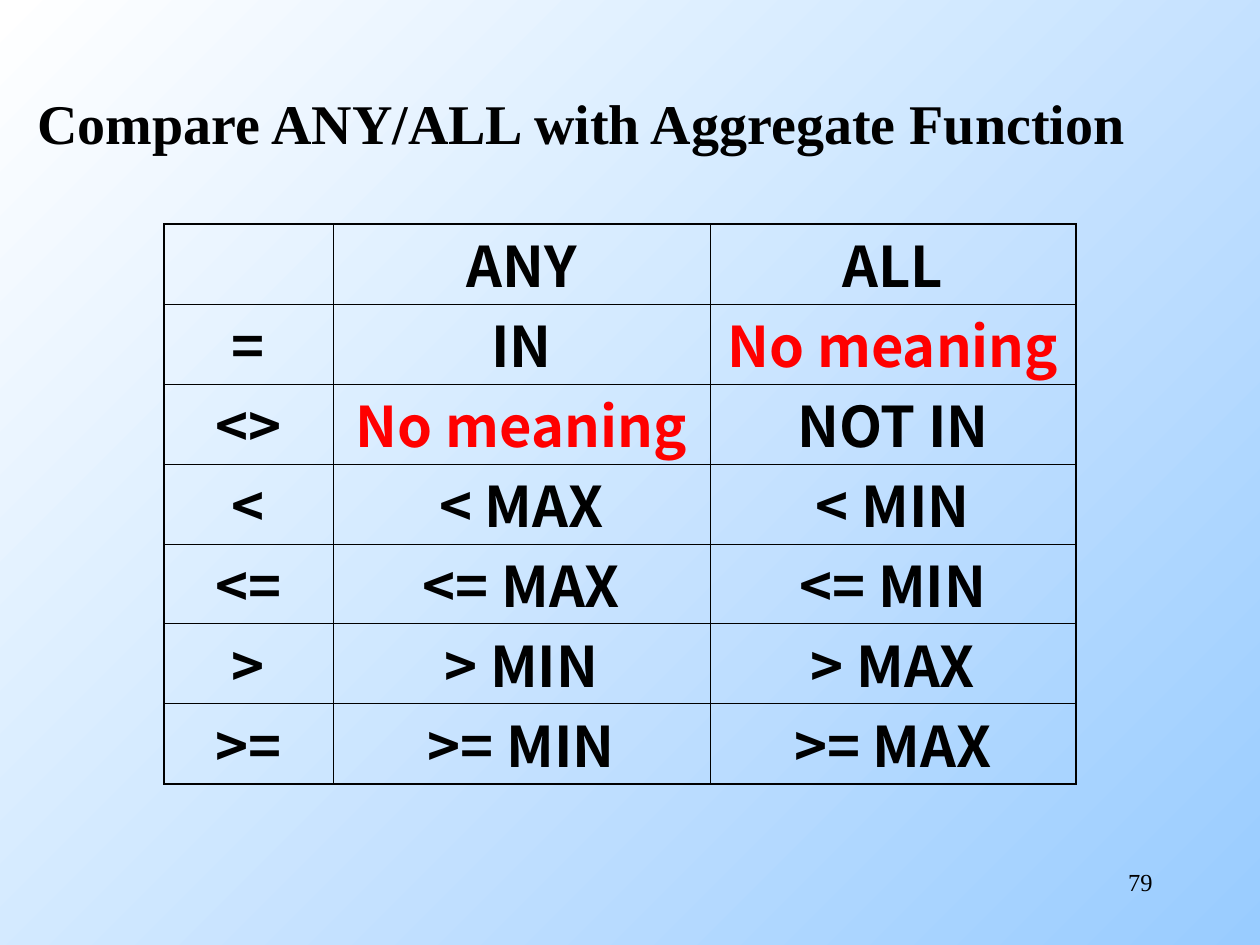
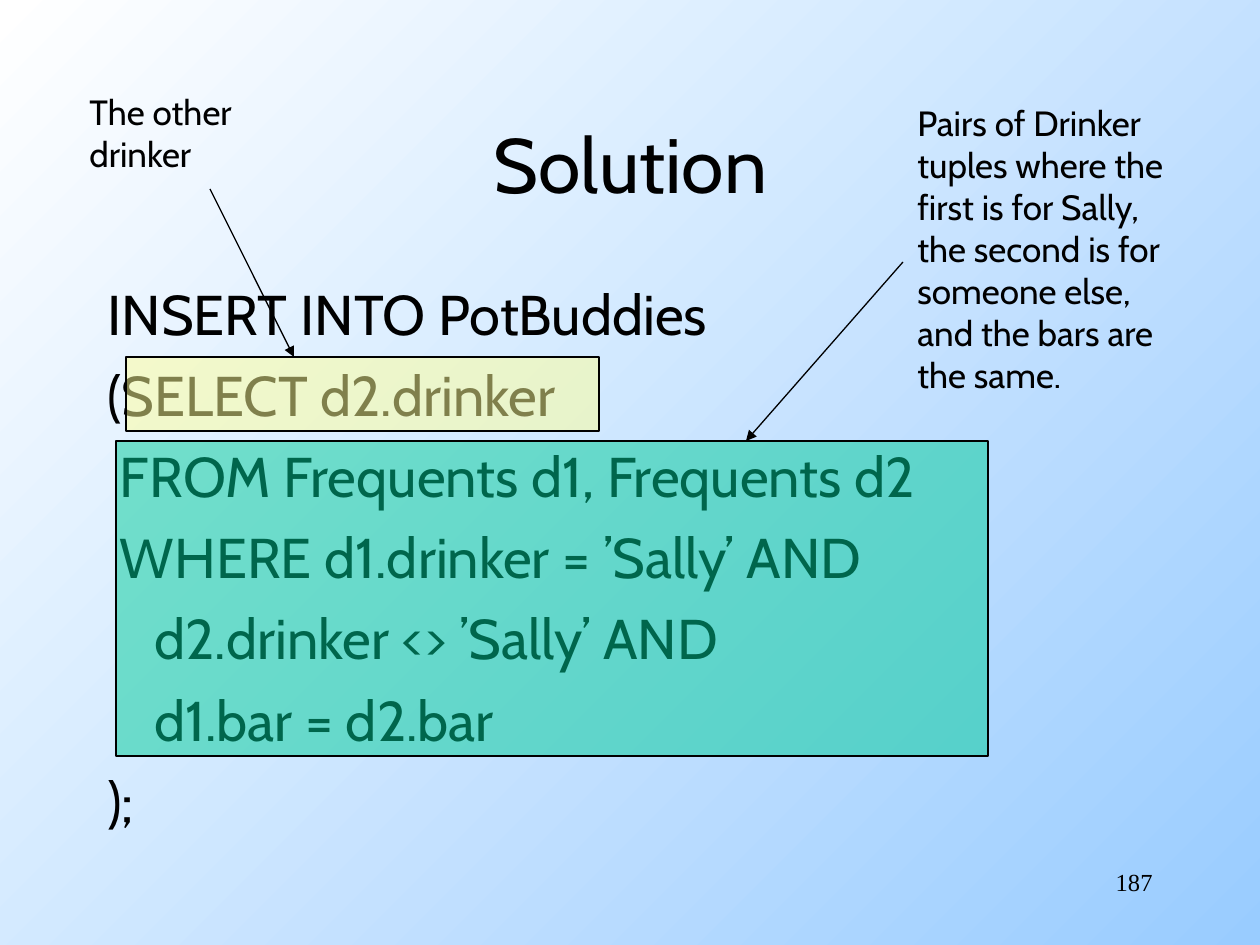
"""Build two database lecture slides: a comparison table and an annotated query."""
import dataclasses

import lxml.etree
import pptx
import pptx.dml.color
import pptx.enum.dml
import pptx.enum.shapes
import pptx.enum.text
import pptx.oxml.ns
import pptx.util

SCALE = 914400 / 126
ALIGN = pptx.enum.text.PP_ALIGN
ANCHOR = pptx.enum.text.MSO_ANCHOR
RECTANGLE = pptx.enum.shapes.MSO_SHAPE.RECTANGLE
STRAIGHT = pptx.enum.shapes.MSO_CONNECTOR.STRAIGHT


@dataclasses.dataclass(frozen=True)
class Theme:
    """Colours, fonts and type sizes of the deck."""
    ink: str = "000000"
    warning: str = "FF0000"
    sky_start: str = "FFFFFF"
    sky_end: str = "99CCFF"
    teal: str = "00CC99"
    yellow: str = "FFFF99"
    serif: str = "Times New Roman"
    sans: str = "Cabin"
    table_font: str = "Noto Sans CJK SC"
    title_size: int = 44
    body_size: int = 32
    note_size: int = 20
    number_size: int = 14
    line_width: float = 0.75
    inner_border: float = 0.45
    outer_border: float = 1.08
    overlay_opacity: int = 50


def emu(pixels):
    """Turn px into EMU."""
    return pptx.util.Emu(round(pixels * SCALE))


def rgb(value):
    """Turn a hex string into a colour."""
    return pptx.dml.color.RGBColor.from_string(value)


def add_element(parent, tag, **attributes):
    """Append a drawing element to its parent."""
    return lxml.etree.SubElement(parent, pptx.oxml.ns.qn(tag), attributes)


def write_text(frame, text, font, size, color="000000", bold=False, align=ALIGN.LEFT,
               gap=0, hanging=0, inset_lines=(), line_spacing=None):
    """Write each line of text as one formatted paragraph."""
    for index, line in enumerate(text.split("\n")):
        paragraph = frame.add_paragraph() if index else frame.paragraphs[0]
        paragraph.text = line
        paragraph.alignment = align
        if index and gap:
            paragraph.space_before = pptx.util.Pt(gap)
        if line_spacing:
            paragraph.line_spacing = line_spacing
        if hanging:
            properties = paragraph._p.get_or_add_pPr()
            properties.set("marL", str(emu(hanging)))
            properties.set("indent", str(0 if index in inset_lines else -emu(hanging)))
        for run in paragraph.runs:
            run.font.name = font
            run.font.size = pptx.util.Pt(size)
            run.font.bold = bold
            run.font.color.rgb = rgb(color)


class Deck:
    """Hold the theme, the presentation and the current slide."""

    def __init__(self, theme):
        """Start an empty presentation."""
        self.theme = theme
        self.presentation = pptx.Presentation()
        self.presentation.slide_width = emu(1260)
        self.presentation.slide_height = emu(945)
        self.slide = None

    def new_slide(self, number):
        """Add a slide with the sky gradient and its number."""
        self.slide = self.presentation.slides.add_slide(self.presentation.slide_layouts[6])
        fill = self.slide.background.fill
        fill.gradient()
        fill.gradient_angle = 315
        colors = (self.theme.sky_start, self.theme.sky_end)
        for position, (stop, color) in enumerate(zip(fill.gradient_stops, colors)):
            stop.position = position
            stop.color.rgb = rgb(color)
        self.text(str(number), 903, 861, 262, 63, font=self.theme.serif,
                  size=self.theme.number_size, align=ALIGN.RIGHT)

    def text(self, text, left, top, width, height, anchor=ANCHOR.TOP, **text_format):
        """Add a wrapping text box."""
        box = self.slide.shapes.add_textbox(emu(left), emu(top), emu(width), emu(height))
        box.text_frame.word_wrap = True
        box.text_frame.vertical_anchor = anchor
        write_text(box.text_frame, text, **text_format)

    def highlight(self, left, top, width, height, color):
        """Add a half-transparent outlined rectangle."""
        shape = self.slide.shapes.add_shape(
            RECTANGLE, emu(left), emu(top), emu(width), emu(height))
        shape.shadow.inherit = False
        shape.fill.solid()
        shape.fill.fore_color.rgb = rgb(color)
        color_element = shape._element.spPr.find(".//" + pptx.oxml.ns.qn("a:srgbClr"))
        add_element(color_element, "a:alpha", val=str(self.theme.overlay_opacity * 1000))
        shape.line.color.rgb = rgb(self.theme.ink)
        shape.line.width = pptx.util.Pt(self.theme.line_width)

    def arrow(self, start, end):
        """Add a straight arrow between two points."""
        connector = self.slide.shapes.add_connector(STRAIGHT, *map(emu, start + end))
        connector.line.color.rgb = rgb(self.theme.ink)
        connector.line.width = pptx.util.Pt(self.theme.line_width)
        properties = connector._element.spPr
        add_element(properties.find(pptx.oxml.ns.qn("a:ln")), "a:tailEnd", type="triangle")
        add_element(properties, "a:effectLst")

    def border(self, cell, outer_sides):
        """Draw the four borders of a cell, thicker on outer sides."""
        properties = cell._tc.get_or_add_tcPr()
        for index, side in enumerate("LRTB"):
            points = self.theme.outer_border if side in outer_sides else self.theme.inner_border
            line = add_element(properties, f"a:ln{side}", w=str(pptx.util.Pt(points)))
            add_element(add_element(line, "a:solidFill"), "a:srgbClr", val=self.theme.ink)
            properties.insert(index, line)

    def table(self, rows, left, top, column_widths, row_height, warning):
        """Add a bordered table with one highlighted wording."""
        table = self.slide.shapes.add_table(
            len(rows), len(column_widths), emu(left), emu(top),
            emu(sum(column_widths)), emu(row_height * len(rows))).table
        table.first_row = table.horz_banding = False
        for column, width in zip(table.columns, column_widths):
            column.width = emu(width)
        for row_index, row in enumerate(rows):
            table.rows[row_index].height = emu(row_height)
            for column_index, label in enumerate(row):
                cell = table.cell(row_index, column_index)
                cell.fill.background()
                cell.margin_top = cell.margin_bottom = 0
                edges = {"L": column_index == 0, "R": column_index == len(row) - 1,
                         "T": row_index == 0, "B": row_index == len(rows) - 1}
                self.border(cell, [side for side, is_outer in edges.items() if is_outer])
                color = self.theme.warning if label == warning else self.theme.ink
                write_text(cell.text_frame, label, font=self.theme.table_font,
                           size=self.theme.body_size, color=color, bold=True,
                           align=ALIGN.CENTER, line_spacing=0.98)


def build_comparison(deck):
    """Build the slide that compares ANY and ALL with aggregates."""
    theme = deck.theme
    no_meaning = "No meaning"
    rows = [("", "ANY", "ALL"), ("=", "IN", no_meaning), ("<>", no_meaning, "NOT IN")]
    for operator, any_bound, all_bound in (("<", "MAX", "MIN"), (">", "MIN", "MAX")):
        for sign in (operator, operator + "="):
            rows.append((sign, f"{sign} {any_bound}", f"{sign} {all_bound}"))
    deck.new_slide(79)
    deck.table(rows, 164, 224, (169, 377, 366), 80, no_meaning)
    deck.text("Compare ANY/ALL with Aggregate Function", 25, 82, 1150, 81,
              font=theme.serif, size=theme.body_size, bold=True)


def build_solution(deck):
    """Build the slide with the annotated query."""
    theme = deck.theme
    query = """INSERT INTO PotBuddies
(SELECT d2.drinker
 FROM Frequents d1, Frequents d2
 WHERE d1.drinker = ’Sally’ AND
d2.drinker <> ’Sally’ AND
d1.bar = d2.bar
);"""
    pairs_note = """Pairs of Drinker
tuples where the
first is for Sally,
the second is for
someone else,
and the bars are
the same."""
    note_format = {"font": theme.sans, "size": theme.note_size}
    deck.new_slide(187)
    deck.text("Solution", 95, 84, 1071, 158, anchor=ANCHOR.MIDDLE, font=theme.sans,
              size=theme.title_size, align=ALIGN.CENTER)
    deck.text(query, 95, 273, 1071, 567, font=theme.sans, size=theme.body_size,
              gap=8, hanging=47, inset_lines=(4, 5))
    deck.highlight(116, 441, 872, 315, theme.teal)
    deck.text(pairs_note, 905, 95, 302, 307, **note_format)
    deck.arrow((903, 262), (746, 441))
    deck.highlight(126, 357, 473, 74, theme.yellow)
    deck.text("The other\ndrinker", 77, 84, 185, 97, **note_format)
    deck.arrow((210, 189), (294, 357))


def main():
    """Build both slides and save the file."""
    deck = Deck(Theme())
    build_comparison(deck)
    build_solution(deck)
    deck.presentation.save("out.pptx")


if __name__ == "__main__":
    main()
